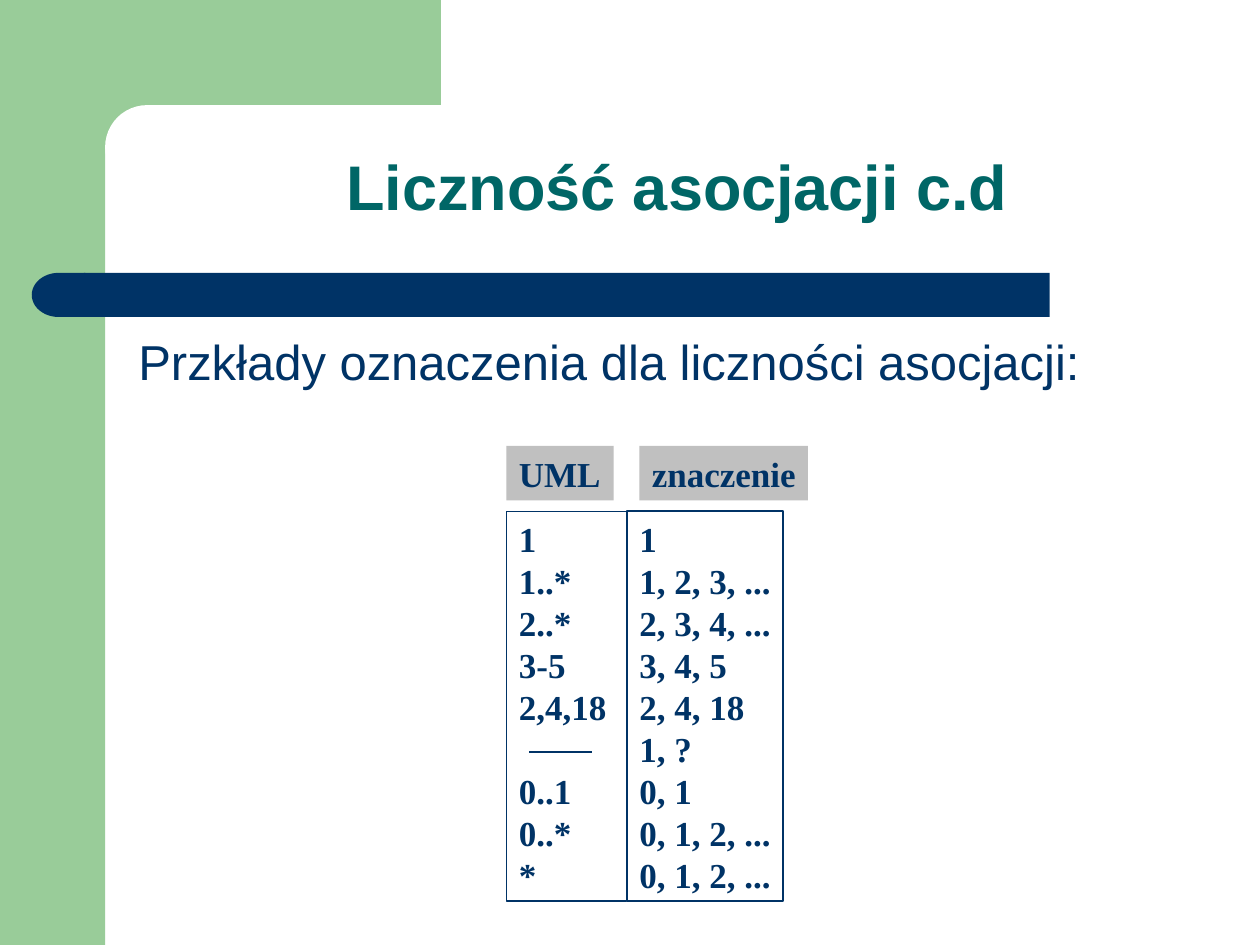
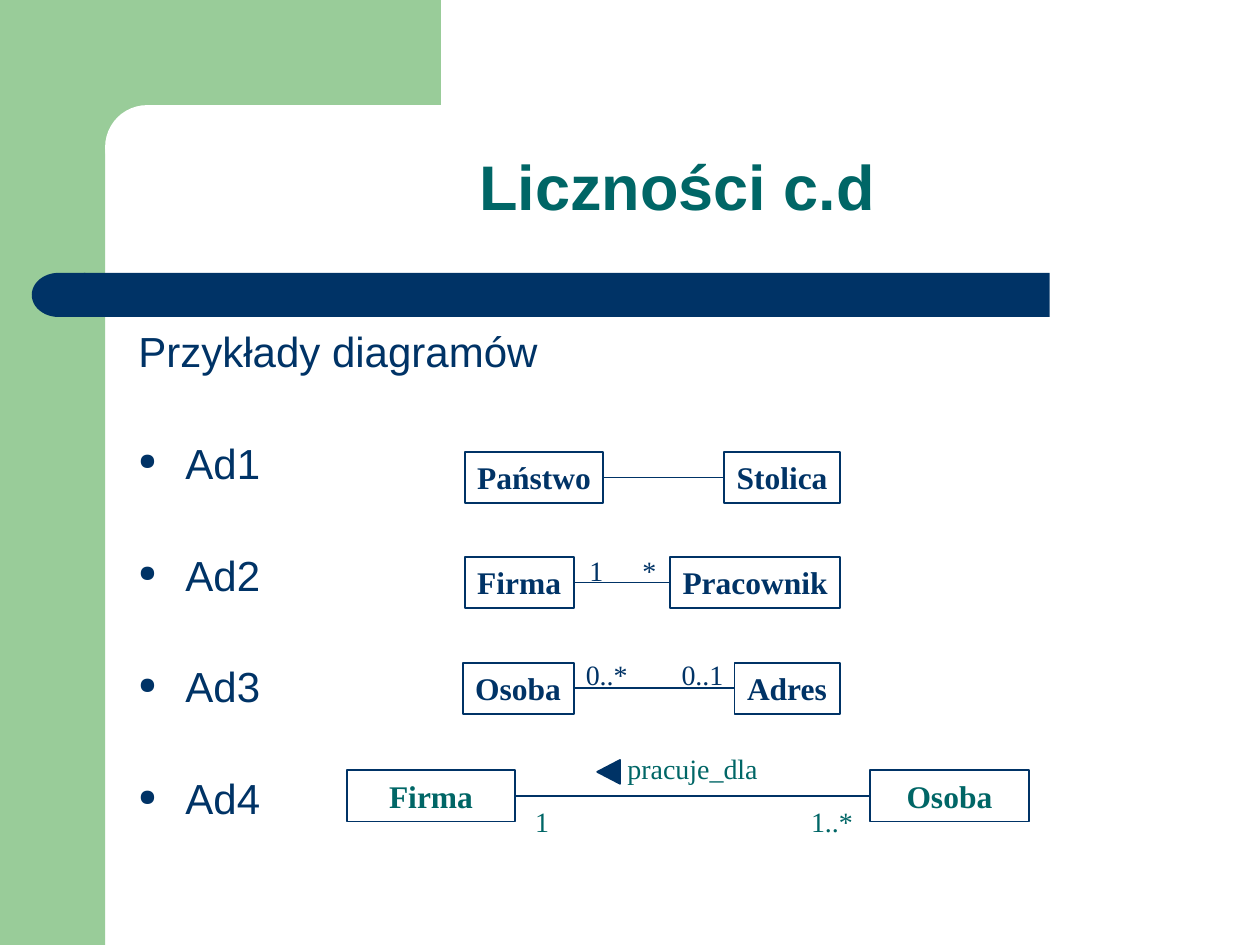
from dataclasses import dataclass

import pptx
import pptx.dml.color
import pptx.enum.shapes
import pptx.enum.text
import pptx.oxml
import pptx.oxml.ns
import pptx.util

Cm = pptx.util.Cm
Pt = pptx.util.Pt
Kind = pptx.enum.shapes.MSO_SHAPE
Align = pptx.enum.text.PP_ALIGN
Anchor = pptx.enum.text.MSO_ANCHOR

GREEN, NAVY, TEAL = "99CC99", "003366", "006666"
WHITE, GREY = "FFFFFF", "C0C0C0"
SANS, SERIF = "Arial", "Times New Roman"


@dataclass
class Area:
    """A rectangle on the slide, in centimetres."""
    left: float
    top: float
    width: float
    height: float

    def place(self) -> tuple:
        return Cm(self.left), Cm(self.top), Cm(self.width), Cm(self.height)


@dataclass
class Style:
    size: int
    face: str = SERIF
    ink: str = NAVY
    bold: bool = False
    align: Align = Align.LEFT
    space: float | None = None

    def line(self):
        """Relative spacing if given, otherwise a fixed height of 1.2 times the size."""
        return self.space or Pt(1.2 * self.size)


@dataclass
class Node:
    text: str
    left: float
    width: float


@dataclass
class Link:
    """Two classes on one row, joined by a line."""
    top: float
    first: Node
    last: Node
    style: Style


@dataclass
class Label:
    text: str
    left: float
    top: float
    width: float
    style: Style


TITLE = Style(36, SANS, TEAL, True, Align.CENTER, 0.9)
LEAD = Style(28, SANS, space=1.0)
LIST = Style(24, SANS, space=0.9)
CELL = Style(20, bold=True)
CLASS = Style(18, bold=True)
ACCENT = Style(18, ink=TEAL, bold=True, align=Align.CENTER)
NOTE = Style(16)
HINT = Style(16, ink=TEAL)

TITLE_AREA = Area(2.54, 1.48, 22.22, 3.17)
BODY_AREA = Area(2.54, 6.55, 22.22, 10.37)
FRAME = [
    (Kind.RECTANGLE, Area(0, 0, 2.12, 19.05), GREEN, 0),
    (Kind.RECTANGLE, Area(1.9, 0, 6.99, 2.96), GREEN, 0),
    (Kind.ROUNDED_RECTANGLE, Area(2.12, 2.12, 14.17, 1.69), WHITE, 0),
    (Kind.RECTANGLE, Area(1.69, 5.5, 19.47, 0.89), NAVY, 0),
    (Kind.FLOWCHART_DELAY, Area(0.64, 5.5, 1.08, 0.89), NAVY, 180),
]

HEADS = [("UML", Area(10.21, 8.99, 2.16, 1.1)),
         ("znaczenie", Area(12.89, 8.99, 3.4, 1.1))]
MARKS = ["1", "1..*", "2..*", "3-5", "2,4,18", "0..1", "0..*", "*"]
GAP_ROW = MARKS.index("0..1")
VALUES = ["1", "1, 2, 3, ...", "2, 3, 4, ...", "3, 4, 5", "2, 4, 18",
          "1, ?", "0, 1", "0, 1, 2, ...", "0, 1, 2, ..."]

NODE_HEIGHT = 1.03
LINKS = [
    Link(9.11, Node("Państwo", 9.37, 2.79), Node("Stolica", 14.6, 2.34), CLASS),
    Link(11.23, Node("Firma", 9.37, 2.2), Node("Pracownik", 13.51, 3.43), CLASS),
    Link(13.36, Node("Osoba", 9.33, 2.24), Node("Adres", 14.81, 2.13), CLASS),
    Link(15.53, Node("Firma", 6.99, 3.4), Node("Osoba", 17.54, 3.2), ACCENT),
]
LABELS = [
    Label("1", 11.63, 11.03, 0.79, NOTE),
    Label("*", 12.7, 11.03, 0.79, NOTE),
    Label("0..*", 11.56, 13.13, 1.35, NOTE),
    Label("0..1", 13.49, 13.13, 1.35, NOTE),
    Label("pracuje_dla", 12.4, 15.03, 3.4, HINT),
    Label("1", 10.54, 16.09, 0.79, HINT),
    Label("1..*", 16.1, 16.09, 1.35, HINT),
]


def shade(code: str):
    return pptx.dml.color.RGBColor.from_string(code)


def write(frame, lines: list[str], style: Style, wrap: bool = False) -> None:
    frame.word_wrap = wrap
    frame.vertical_anchor = Anchor.TOP
    frame.text = "\n".join(lines)
    for para in frame.paragraphs:
        para.alignment = style.align
        para.line_spacing = style.line()
        for run in para.runs:
            run.font.name = style.face
            run.font.size = Pt(style.size)
            run.font.bold = style.bold
            run.font.color.rgb = shade(style.ink)


def draw(slide, kind, area: Area, fill: str = "", edge: str = ""):
    shape = slide.shapes.add_shape(kind, *area.place())
    shape.shadow.inherit = False
    if fill:
        shape.fill.solid()
        shape.fill.fore_color.rgb = shade(fill)
    else:
        shape.fill.background()
    if edge:
        shape.line.color.rgb = shade(edge)
        shape.line.width = Pt(1)
    else:
        shape.line.fill.background()
    return shape


def panel(slide, area: Area, lines: list[str], style: Style,
          fill: str = "", edge: str = ""):
    shape = draw(slide, Kind.RECTANGLE, area, fill, edge)
    write(shape.text_frame, lines, style)
    return shape


def note(slide, area: Area, lines: list[str], style: Style, wrap: bool = False):
    frame = slide.shapes.add_textbox(*area.place()).text_frame
    write(frame, lines, style, wrap)
    return frame


def rule(slide, left: float, top: float, right: float, weight: float):
    """Draw a level line without a shadow."""
    line = slide.shapes.add_connector(
        pptx.enum.shapes.MSO_CONNECTOR.STRAIGHT,
        Cm(left), Cm(top), Cm(right), Cm(top))
    line.line.color.rgb = shade(NAVY)
    line.line.width = Pt(weight)
    props = line._element.spPr
    props.append(props.makeelement(pptx.oxml.ns.qn("a:effectLst"), {}))
    return line


def dot(para) -> None:
    """Give the paragraph a round bullet and a hanging indent."""
    props = para._p.get_or_add_pPr()
    props.set("marL", str(Cm(0.95)))
    props.set("indent", str(-Cm(0.95)))
    space = pptx.oxml.ns.nsdecls("a")
    for part in (f'<a:buClr {space}><a:srgbClr val="{NAVY}"/></a:buClr>',
                 f'<a:buSzPct {space} val="55000"/>',
                 f'<a:buChar {space} char="●"/>'):
        props.append(pptx.oxml.parse_xml(part))


def start(deck, title: str):
    """Add a slide with the shared frame and its title."""
    slide = deck.slides.add_slide(deck.slide_layouts[6])
    for kind, area, fill, turn in FRAME:
        shape = draw(slide, kind, area, fill)
        shape.rotation = turn
        if kind == Kind.ROUNDED_RECTANGLE:
            shape.adjustments[0] = 0.5
    frame = note(slide, TITLE_AREA, [title], TITLE, True)
    frame.vertical_anchor = Anchor.BOTTOM
    return slide


def counts(deck) -> None:
    slide = start(deck, "Liczność asocjacji c.d")
    note(slide, BODY_AREA, ["Przkłady oznaczenia dla liczności asocjacji:"], LEAD, True)
    panel(slide, Area(12.64, 10.3, 3.14, 7.87), VALUES, CELL, edge=NAVY)
    marks = panel(slide, Area(10.21, 10.31, 2.42, 7.86), MARKS, CELL, edge=NAVY)
    marks.text_frame.paragraphs[GAP_ROW].space_before = CELL.line()
    rule(slide, 10.67, 15.16, 11.94, 1.5)
    for text, area in HEADS:
        panel(slide, area, [text], CELL, fill=GREY)


def join(slide, link: Link) -> None:
    first, last = (
        panel(slide, Area(node.left, link.top, node.width, NODE_HEIGHT),
              [node.text], link.style, edge=NAVY)
        for node in (link.first, link.last))
    line = rule(slide, link.first.left + link.first.width,
                link.top + NODE_HEIGHT / 2, link.last.left, 1)
    line.begin_connect(first, 3)
    line.end_connect(last, 1)


def samples(deck) -> None:
    slide = start(deck, "Liczności c.d")
    items = [f"Ad{count}" for count in range(1, len(LINKS) + 1)]
    body = note(slide, BODY_AREA, ["Przykłady diagramów", *items], LIST, True)
    for para in body.paragraphs[1:]:
        para.space_before = Pt(38)
        dot(para)
    for link in LINKS:
        join(slide, link)
    for label in LABELS:
        area = Area(label.left, label.top, label.width, 0.94)
        note(slide, area, [label.text], label.style)
    arrow = draw(slide, Kind.FLOWCHART_EXTRACT, Area(12.03, 15.33, 0.48, 0.46), NAVY, NAVY)
    arrow.rotation = 270


def main() -> None:
    deck = pptx.Presentation()
    deck.slide_width, deck.slide_height = Cm(25.4), Cm(19.05)
    counts(deck)
    samples(deck)
    deck.save("out.pptx")


if __name__ == "__main__":
    main()
